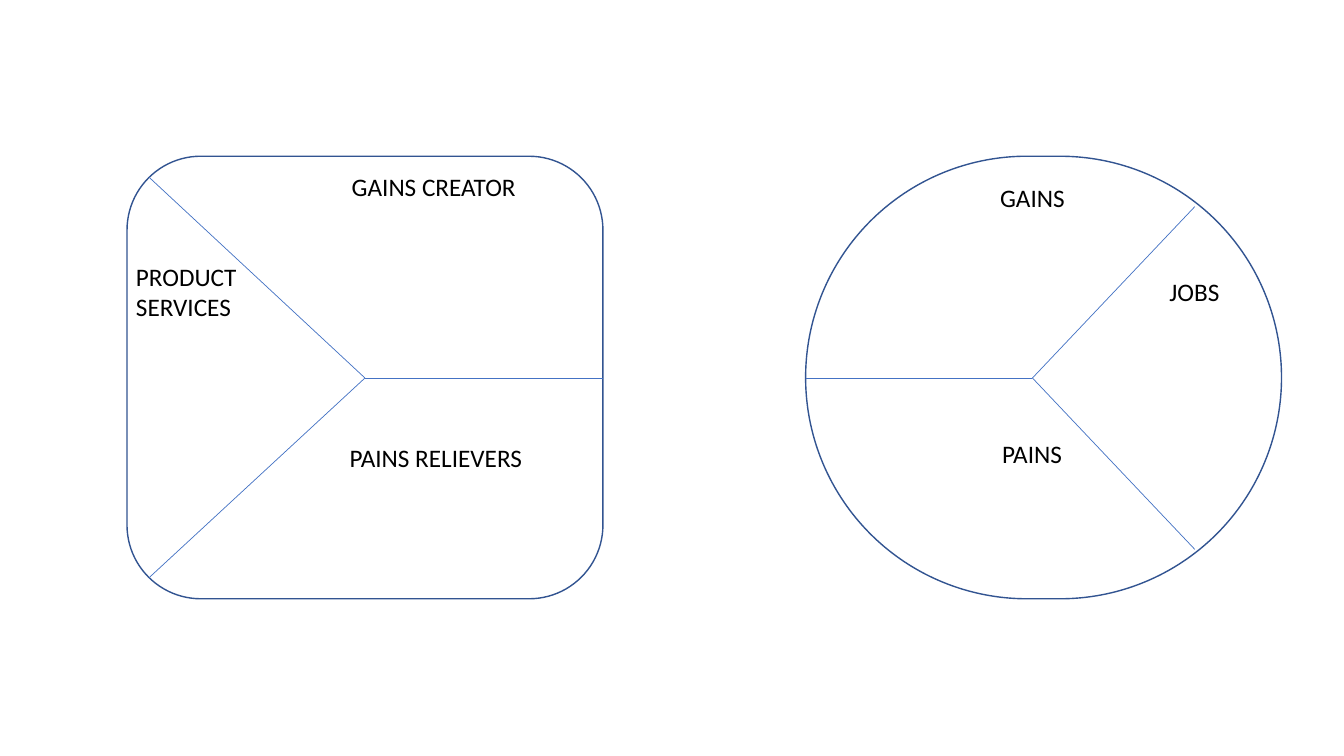
from dataclasses import dataclass
from pptx import Presentation
from pptx.dml.color import RGBColor as Rgb
from pptx.enum.shapes import MSO_CONNECTOR as Conn, MSO_SHAPE as Shape
from pptx.enum.text import MSO_AUTO_SIZE as Fit
from pptx.oxml.ns import qn
from pptx.util import Pt
from lxml.etree import SubElement


@dataclass(frozen=True)
class Theme:
    """Colours, type and line widths of the slide."""
    font: str = "Calibri"
    size: float = 18
    ink: str = "000000"
    edge: str = "325491"
    spoke: str = "4472C4"
    thick: float = 1
    thin: float = 0.5


THEME = Theme()
SCALE = 9144
TOP, WIDE, HIGH = 155, 472, 439
MID = 375


def px(*vals):
    """Turn px lengths into EMU."""
    return [val * SCALE for val in vals]


def stroke(line, tint, width):
    """Set the colour and width of a line."""
    line.color.rgb = Rgb.from_string(tint)
    line.width = Pt(width)


def panel(slide, left, curve):
    """Draw an unfilled rounded panel."""
    box = slide.shapes.add_shape(Shape.ROUNDED_RECTANGLE, *px(left, TOP, WIDE, HIGH))
    box.adjustments[0] = curve
    box.shadow.inherit = False
    box.fill.background()
    stroke(box.line, THEME.edge, THEME.thick)


def spokes(slide, hub, ends):
    """Draw lines from a hub on the middle axis to each end."""
    for end in ends:
        line = slide.shapes.add_connector(Conn.STRAIGHT, *px(hub, MID, *end))
        stroke(line.line, THEME.spoke, THEME.thin)
        SubElement(line._element.spPr, qn("a:effectLst"))


def label(slide, text, left, top, wide, high=40, *, size=THEME.size, tint=THEME.ink):
    """Place a text label."""
    box = slide.shapes.add_textbox(*px(left, top, wide, high))
    frame = box.text_frame
    frame.word_wrap = False
    frame.auto_size = Fit.SHAPE_TO_FIT_TEXT
    para = frame.paragraphs[0]
    para.text = text
    for run in para.runs:
        run.font.name = THEME.font
        run.font.size = Pt(size)
        run.font.color.rgb = Rgb.from_string(tint)


def main():
    """Build the value and customer panels."""
    deck = Presentation()
    deck.slide_width, deck.slide_height = px(1333, 750)
    slide = deck.slides.add_slide(deck.slide_layouts[6])

    panel(slide, 126, 0.16667)
    spokes(slide, 362, [(598, MID), (148, 176), (148, 573)])
    panel(slide, 799, 0.5)
    spokes(slide, 1024, [(799, MID), (1185, 205), (1185, 545)])

    label(slide, "JOBS", 1150, 269, 70)
    label(slide, "GAINS", 982, 176, 85)
    label(slide, "PAINS", 984, 430, 80)
    label(slide, "PRODUCT\nSERVICES", 125, 254, 121, 71)
    label(slide, "GAINS CREATOR", 339, 165, 184)
    label(slide, "PAINS RELIEVERS", 337, 434, 193)
    deck.save("out.pptx")


if __name__ == "__main__":
    main()
